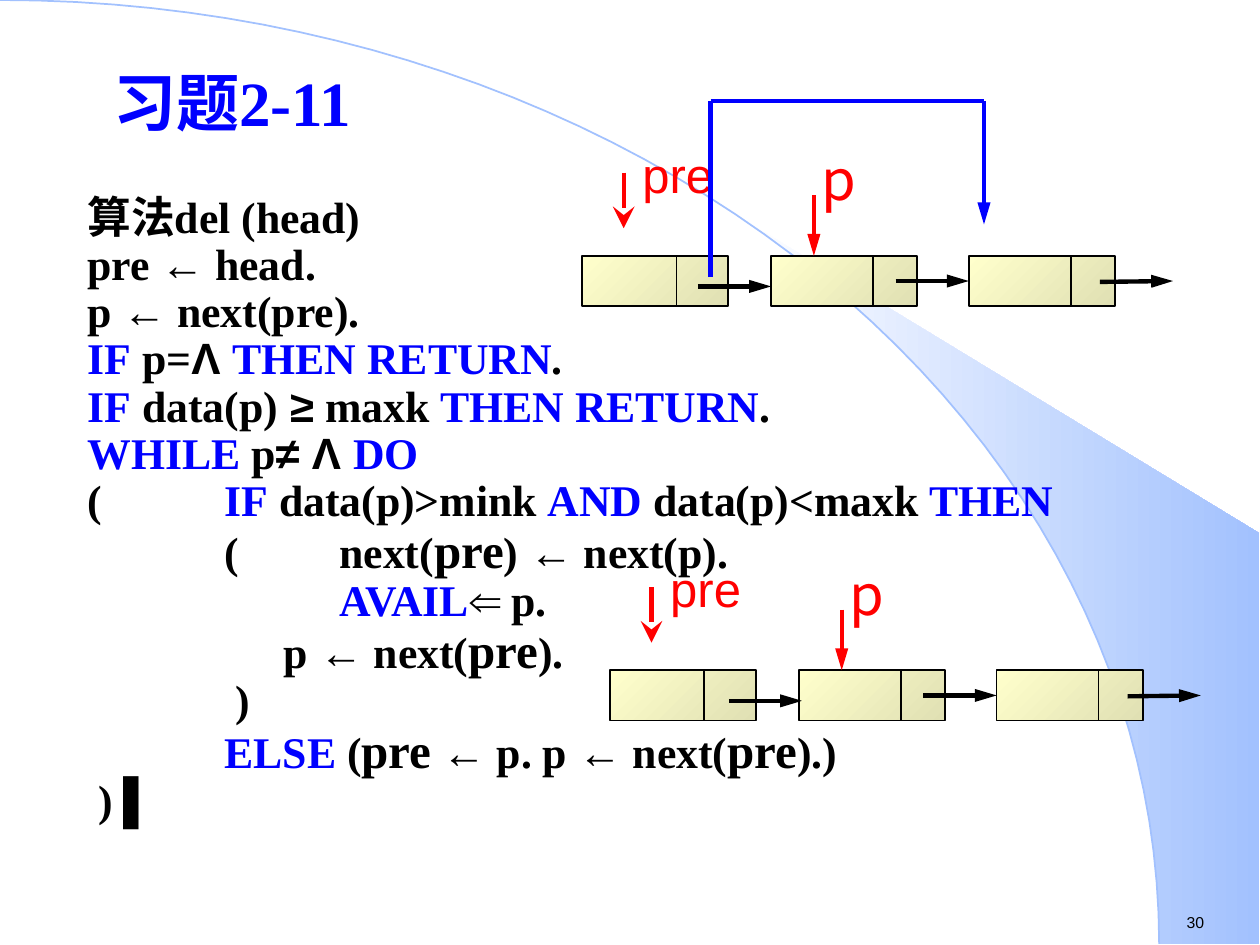
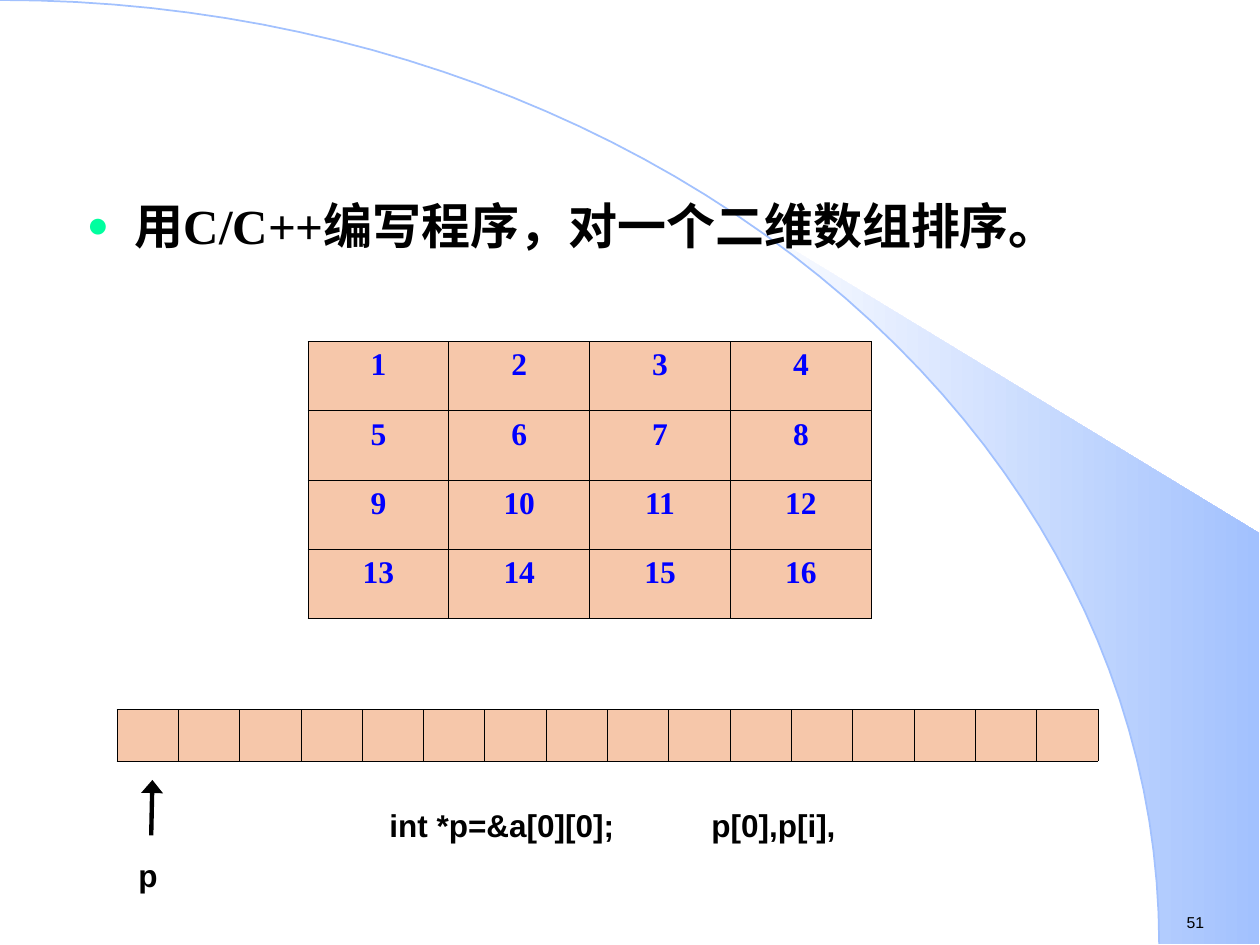
from dataclasses import dataclass
from math import cos, pi, sin
from typing import Any, Optional

from lxml.etree import SubElement as Sub
from pptx import Presentation
from pptx.dml.color import RGBColor
from pptx.enum.shapes import MSO_CONNECTOR as Conn, MSO_SHAPE as Form
from pptx.enum.text import MSO_ANCHOR as Anchor, MSO_AUTO_SIZE as Auto, PP_ALIGN as Align
from pptx.oxml.ns import qn
from pptx.util import Pt

BLACK, BLUE, RED, SKY, PEACH = "000000", "0000FF", "FF0000", "A2C1FE", "F6C7AA"
SERIF, SANS, NOTO = "Times New Roman", "Arial", "Noto Sans CJK SC"
ARC_W, ARC_H = 662.4, 539.3
NODE_W, NODE_H = 83.5, 28.8
LINK = 41.8
LONG = {"type": "triangle", "w": "med", "len": "lg"}
WIDE = {"type": "triangle", "w": "lg", "len": "med"}
BARB = {"type": "stealth", "w": "lg", "len": "lg"}


@dataclass
class Box:
    x: float
    y: float
    w: float
    h: float

    def emu(self) -> tuple:
        return Pt(self.x), Pt(self.y), Pt(self.w), Pt(self.h)


@dataclass
class Look:
    size: float
    name: str = SERIF
    hue: str = BLACK
    bold: bool = False


@dataclass
class Label:
    text: str
    box: Box
    look: Look
    tabs: tuple = ()


@dataclass
class Chain:
    x: float
    y: float
    shift: float


@dataclass
class Grid:
    box: Box
    rows: int
    cols: int
    filled: bool


CODE = Look(25, bold=True)
MARKS = {
    "#": Look(25, hue=BLUE, bold=True),
    "@": Look(25, SANS, bold=True),
    "^": Look(28, bold=True),
}
STEPS = [
    "算法del (head)",
    "pre |@←| head.",
    "p |@←| next(pre).",
    "#IF| p=|@Λ |#THEN RETURN|.",
    "#IF| data(p)|@ ≥| maxk |#THEN RETURN|.",
    "#WHILE| p|@≠ Λ |#DO",
    "(\t |#IF| data(p)>mink |#AND| data(p)<maxk |#THEN",
    "\t (\tnext(|^pre|) |@←| next(p).",
    "\t\t|#AVAIL|@⇐| p. ",
    "                  p |@←| next(|^pre|).",
    "\t  )",
    "\t |#ELSE| (|^pre| |@←| p. p |@←| next(|^pre|).)",
    " ) ▌",
]
CHAINS = [Chain(332.6, 146.2, 0), Chain(348.5, 383, 1.8)]
GRIDS = [
    Grid(Box(176, 195.1, 322, 158.4), 4, 4, True),
    Grid(Box(66.8, 405.4, 560.9, 29.5), 1, 16, False),
]
NOTE = Look(18, SANS, bold=True)
NOTES = [
    Label("p", Box(72, 485.6, 25.2, 28.8), NOTE),
    Label("int *p=&a[0][0];\tp[0],p[i],", Box(215.5, 457.2, 269.3, 28.8), NOTE, (184,)),
]


def style(item: Any, vals: dict) -> None:
    for key, val in vals.items():
        setattr(item, key, val)


def ink(fill: Any, hue: str, end: Optional[str] = None, turn: float = 0) -> None:
    if end is None:
        fill.solid()
        fill.fore_color.rgb = RGBColor.from_string(hue)
        return
    fill.gradient()
    fill.gradient_angle = turn
    for stop, tone in zip(fill.gradient_stops, (hue, end)):
        stop.color.rgb = RGBColor.from_string(tone)


def write(para: Any, text: str, look: Look) -> None:
    run = para.add_run()
    run.text = text
    style(run.font, {"size": Pt(look.size), "name": look.name, "bold": look.bold})
    ink(run.font.fill, look.hue)


def stops(para: Any, tabs: tuple) -> None:
    tray = Sub(para._p.get_or_add_pPr(), qn("a:tabLst"))
    for pos in tabs:
        Sub(tray, qn("a:tab"), pos=str(Pt(pos)), algn="l")


def label(slide: Any, item: Label) -> None:
    frame = slide.shapes.add_textbox(*item.box.emu()).text_frame
    frame.word_wrap = True
    para = frame.paragraphs[0]
    if item.tabs:
        stops(para, item.tabs)
    write(para, item.text, item.look)


def holder(shape: Any, box: Box, anchor: Any) -> Any:
    style(shape, dict(zip(("left", "top", "width", "height"), box.emu())))
    frame = shape.text_frame
    style(frame, {"word_wrap": True, "auto_size": Auto.NONE, "vertical_anchor": anchor})
    return frame


def line(slide: Any, start: tuple, end: tuple, hue: str = BLACK,
         width: float = 2.5, head: Optional[dict] = None) -> Any:
    conn = slide.shapes.add_connector(Conn.STRAIGHT, *map(Pt, start + end))
    ink(conn.line.fill, hue)
    conn.line.width = Pt(width)
    props = conn.element.spPr
    if head:
        Sub(props.find(qn("a:ln")), qn("a:tailEnd"), head)
    Sub(props, qn("a:effectLst"))
    return conn


def curve(first: float) -> list:
    turns = [first + (pi / 2 - first) * step / 48 for step in range(49)]
    return [(Pt(ARC_W * sin(turn)), Pt(ARC_H * (1 - cos(turn)))) for turn in turns]


def outline(slide: Any, points: list, close: bool) -> Any:
    pen = slide.shapes.build_freeform(*points[0])
    pen.add_line_segments(points[1:], close=close)
    shape = pen.convert_to_shape()
    shape.shadow.inherit = False
    return shape


def base(deck: Any, number: str) -> Any:
    slide = deck.slides.add_slide(deck.slide_layouts[1])
    held = list(slide.placeholders)
    edge = [(Pt(719.3), Pt(ARC_H)), (Pt(719.3), Pt(304.6))]
    wedge = outline(slide, curve(0.695) + edge, True)
    ink(wedge.fill, "FFFFFF", SKY)
    wedge.line.fill.background()
    arc = outline(slide, curve(0), False)
    arc.fill.background()
    ink(arc.line.fill, SKY)
    arc.line.width = Pt(1)
    label(slide, Label(number, Box(671, 518, 49, 18), Look(9, SANS)))
    for shape in held:
        shape.element.getparent().append(shape.element)
    return slide


def chain(slide: Any, plan: Chain) -> None:
    def at(x: float, y: float) -> tuple:
        return plan.x + x, plan.y + y

    nodes = []
    for left, split in ((0, 54), (108, 58.3), (221, 58.3)):
        node = slide.shapes.add_shape(Form.RECTANGLE, *Box(*at(left, 0), NODE_W, NODE_H).emu())
        node.shadow.inherit = False
        ink(node.fill, "FFFFCC", "E0E0B3", 315)
        ink(node.line.fill, BLACK)
        node.line.width = Pt(1)
        line(slide, at(left + split, 0), at(left + split, NODE_H), width=1)
        nodes.append(node)
    mid = NODE_H / 2
    start = 66.2 + plan.shift
    line(slide, at(start, 17.5), at(start + LINK, 17.5), head=LONG)
    joint = line(slide, at(221 - LINK, mid), at(221, mid), head=LONG)
    joint.end_connect(nodes[2], 1)
    line(slide, at(295.9, mid + 0.5), at(295.9 + LINK, mid), head=LONG)
    line(slide, at(23.8, -47.5), at(23.8, -15.8), RED, head=BARB)
    line(slide, at(132.5, -34.6), at(132.5, 0), RED, head=LONG)
    label(slide, Label("pre", Box(*at(27.4, -67.1), 56.2, 41), Look(28, SANS, RED)))
    label(slide, Label("p", Box(*at(129.6, -67.1), 25.2, 46), Look(32, NOTO, RED)))


def delete(deck: Any) -> None:
    slide = base(deck, "30")
    title, body = slide.placeholders
    head = holder(title, Box(57.6, 15.1, 617.8, 85), Anchor.MIDDLE).paragraphs[0]
    head.alignment = Align.LEFT
    write(head, "习题2-11", Look(36, hue=BLUE, bold=True))
    frame = holder(body, Box(42.8, 108, 646.6, 413.3), Anchor.TOP)
    for index, step in enumerate(STEPS):
        para = frame.add_paragraph() if index else frame.paragraphs[0]
        props = para._p.get_or_add_pPr()
        for key, val in (("marL", 0), ("indent", 0), ("defTabSz", 72)):
            props.set(key, str(Pt(val)))
        Sub(props, qn("a:buNone"))
        stops(para, (72, 144))
        style(para, {"line_spacing": 0.9, "space_before": Pt(0)})
        for part in step.split("|"):
            look = MARKS.get(part[0])
            write(para, part[1:] if look else part, look or CODE)
    for plan in CHAINS:
        chain(slide, plan)
    route = [(406.1, 158.4), (406.1, 57.6), (562.3, 57.6), (562.3, 128.2)]
    for start, end, tip in zip(route, route[1:], (None, None, LONG)):
        line(slide, start, end, BLUE, head=tip)


def frame_cell(cell: Any) -> None:
    ink(cell.fill, PEACH)
    props = cell._tc.get_or_add_tcPr()
    for index, side in enumerate(("lnL", "lnR", "lnT", "lnB")):
        edge = Sub(props, qn(f"a:{side}"), w=str(Pt(0.45)))
        Sub(Sub(edge, qn("a:solidFill")), qn("a:srgbClr"), val=BLACK)
        props.insert(index, edge)


def grid(slide: Any, plan: Grid) -> None:
    table = slide.shapes.add_table(plan.rows, plan.cols, *plan.box.emu()).table
    style(table, {"first_row": False, "horz_banding": False})
    for index, cell in enumerate(table.iter_cells(), 1):
        frame_cell(cell)
        if plan.filled:
            para = cell.text_frame.paragraphs[0]
            para.alignment = Align.CENTER
            write(para, str(index), Look(18, hue=BLUE, bold=True))


def sort(deck: Any) -> None:
    slide = base(deck, "51")
    title, body = slide.placeholders
    title.element.getparent().remove(title.element)
    para = holder(body, Box(42.5, 108, 646.6, 343.4), Anchor.TOP).paragraphs[0]
    props = para._p.get_or_add_pPr()
    for key, val in (("marL", 27.4), ("indent", -27.4)):
        props.set(key, str(Pt(val)))
    Sub(Sub(props, qn("a:buClr")), qn("a:srgbClr"), val="00FF9F")
    Sub(props, qn("a:buSzPct"), val="75000")
    Sub(props, qn("a:buChar"), char="●")
    para.space_before = Pt(0)
    write(para, "用C/C++编写程序，对一个二维数组排序。", Look(28, bold=True))
    for plan in GRIDS:
        grid(slide, plan)
    line(slide, (86.4, 477.4), (87.1, 445.7), head=WIDE)
    for note in NOTES:
        label(slide, note)


def main() -> None:
    deck = Presentation()
    style(deck, {"slide_width": Pt(720), "slide_height": Pt(540)})
    delete(deck)
    sort(deck)
    deck.save("out.pptx")


if __name__ == "__main__":
    main()
